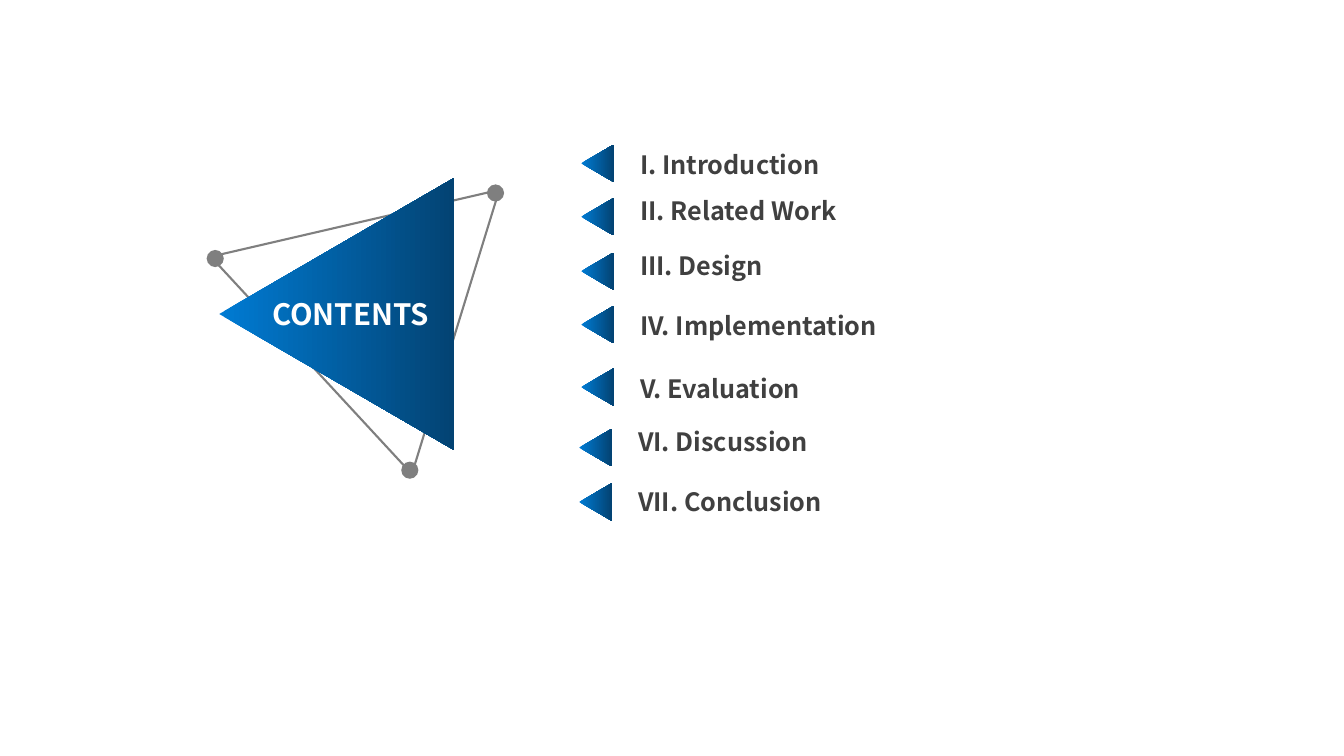
import pptx
import pptx.util
import pptx.dml.color
import pptx.enum.shapes
import pptx.enum.text

Inches = pptx.util.Inches
Shape = pptx.enum.shapes.MSO_SHAPE


def color(value):
    return pptx.dml.color.RGBColor.from_string(value)


class ContentsSlide:
    font = "Noto Sans CJK SC"
    gray = "7F7F7F"
    gradient = ("007BD3", "034373")

    def __init__(self, slide):
        self.slide = slide

    def shape(self, shapes, kind, left, top, width, height, rotation=0):
        shape = shapes.add_shape(kind, Inches(left), Inches(top), Inches(width), Inches(height))
        shape.rotation = rotation
        shape.shadow.inherit = False
        return shape

    def frame(self, shapes, left, top, width, height, rotation):
        outline = self.shape(shapes, Shape.ISOSCELES_TRIANGLE, left, top, width, height, rotation)
        outline.fill.background()
        outline.line.color.rgb = color(self.gray)
        outline.line.width = pptx.util.Pt(1.5)

    def pointer(self, shapes, left, top, width, height):
        pointer = self.shape(shapes, Shape.ISOSCELES_TRIANGLE, left, top, width, height, 270)
        pointer.line.fill.background()
        pointer.fill.gradient()
        pointer.fill.gradient_angle = 270
        for position, (stop, tone) in enumerate(zip(pointer.fill.gradient_stops, self.gradient)):
            stop.position = position
            stop.color.rgb = color(tone)

    def dot(self, shapes, left, top):
        dot = self.shape(shapes, Shape.OVAL, left, top, 0.17, 0.17)
        dot.fill.solid()
        dot.fill.fore_color.rgb = color(self.gray)
        dot.line.fill.background()

    def text(self, wording, left, top, width, height, size, tone):
        box = self.slide.shapes.add_textbox(Inches(left), Inches(top), Inches(width), Inches(height))
        box.text_frame.word_wrap = True
        box.text_frame.auto_size = pptx.enum.text.MSO_AUTO_SIZE.SHAPE_TO_FIT_TEXT
        paragraph = box.text_frame.paragraphs[0]
        paragraph.text = wording
        paragraph.font.name = self.font
        paragraph.font.size = pptx.util.Pt(size)
        paragraph.font.bold = True
        paragraph.font.color.rgb = color(tone)


def main():
    presentation = pptx.Presentation()
    presentation.slide_width = Inches(13.33)
    presentation.slide_height = Inches(7.5)
    slide = presentation.slides.add_slide(presentation.slide_layouts[6])
    contents = ContentsSlide(slide)

    emblem = slide.shapes.add_group_shape().shapes
    contents.frame(emblem, 1.83, 1.65, 2.95, 2.54, 287.1)
    contents.pointer(emblem, 1.99, 1.95, 2.7, 2.33)
    for left, top in [(2.05, 2.48), (3.98, 4.58), (4.83, 1.83)]:
        contents.dot(emblem, left, top)
    contents.text("CONTENTS", 2.6, 2.89, 1.9, 0.45, 21, "FFFFFF")

    sections = [
        ("I. Introduction", 5.74, 1.46, 1.43, 3.23),
        ("II. Related Work", 5.74, 1.99, 1.89, 4.27),
        ("III. Design", 5.74, 2.53, 2.43, 5.6),
        ("IV. Implementation", 5.74, 3.06, 3.03, 5.93),
        ("V. Evaluation", 5.74, 3.68, 3.65, 3.4),
        ("VI. Discussion", 5.72, 4.28, 4.18, 5.6),
        ("VII. Conclusion", 5.72, 4.82, 4.78, 5.93),
    ]
    for heading, left, pointer_top, heading_top, width in sections:
        contents.pointer(slide.shapes, left, pointer_top, 0.37, 0.32)
        contents.text(heading, left + 0.51, heading_top, width, 0.4, 18, "404040")

    presentation.save("out.pptx")


if __name__ == "__main__":
    main()
